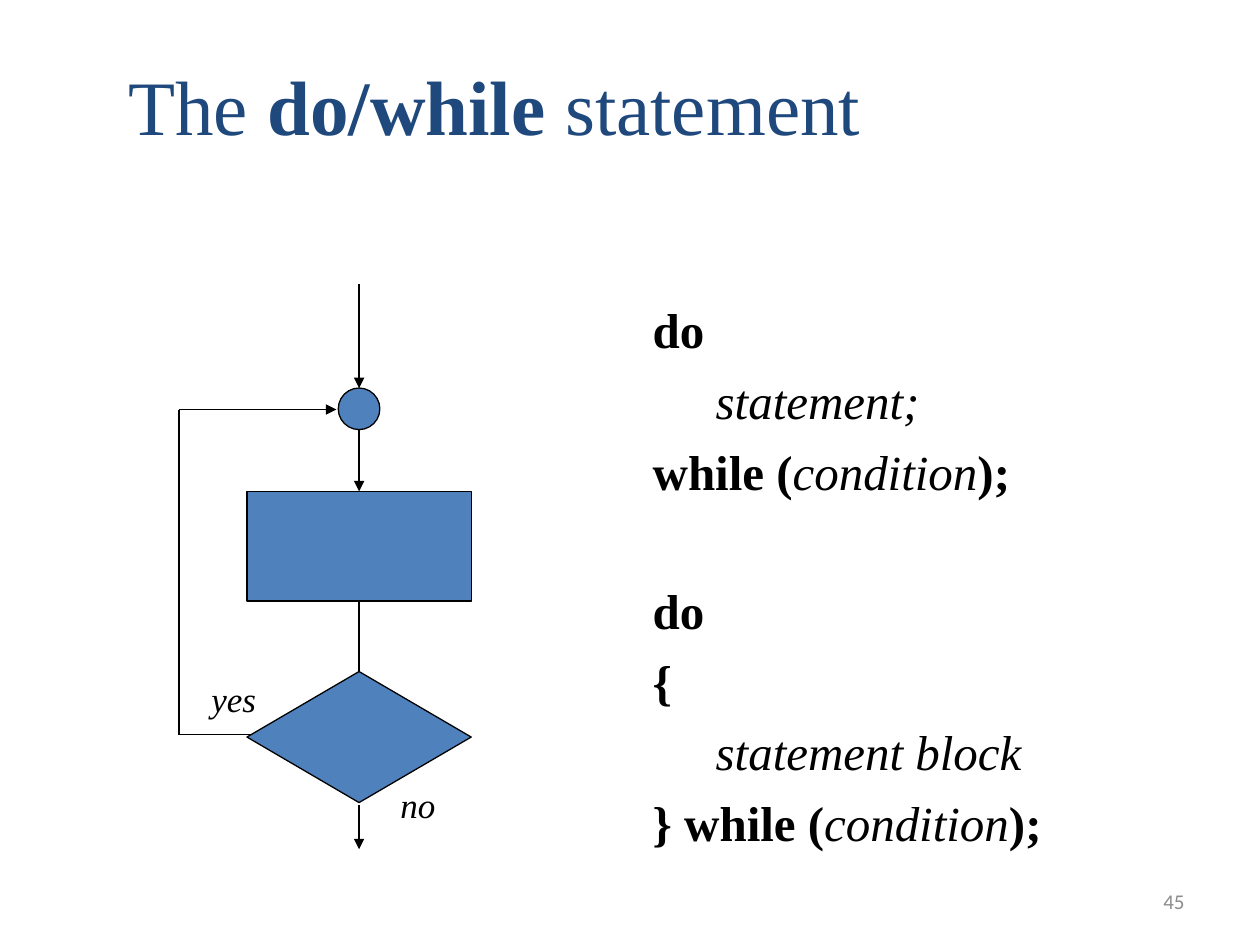
"""Build a slide that explains the do/while statement with a flow chart."""
from dataclasses import dataclass
from lxml import etree
from pptx import Presentation
from pptx.dml.color import RGBColor
from pptx.enum import shapes, text
from pptx.oxml.ns import qn
from pptx.util import Inches, Pt


@dataclass
class Theme:
    serif: str = "Times New Roman"
    sans: str = "Calibri"
    navy: str = "1F497D"
    blue: str = "4F81BD"
    black: str = "000000"
    gray: str = "8C8C8C"
    head: int = 44
    code: int = 28
    label: int = 20
    page: int = 12
    gap: float = 6.8
    line: float = 0.75


theme = Theme()


def write(para, words, size, color=theme.black, font=theme.serif, bold=False, italic=False):
    run = para.add_run()
    run.text = words
    run.font.name, run.font.size = font, Pt(size)
    run.font.bold, run.font.italic = bold, italic
    run.font.color.rgb = RGBColor.from_string(color)


def wire(x1, y1, x2, y2, arrow=False):
    line = slide.shapes.add_connector(
        shapes.MSO_CONNECTOR.STRAIGHT, Inches(x1), Inches(y1), Inches(x2), Inches(y2))
    line.line.color.rgb = RGBColor.from_string(theme.black)
    line.line.width = Pt(theme.line)
    if arrow:
        etree.SubElement(line.line._get_or_add_ln(), qn("a:tailEnd"), type="triangle")
    etree.SubElement(line._element.spPr, qn("a:effectLst"))
    return line


deck = Presentation()
deck.slide_width, deck.slide_height = Inches(10), Inches(7.5)
slide = deck.slides.add_slide(deck.slide_layouts[1])

title, body = slide.placeholders
title.left, title.top, title.width, title.height = map(Inches, (0.92, 0.42, 8.86, 0.83))
title.text_frame.vertical_anchor = text.MSO_ANCHOR.BOTTOM
title.text_frame.auto_size = text.MSO_AUTO_SIZE.NONE
para = title.text_frame.paragraphs[0]
para.alignment = text.PP_ALIGN.LEFT
for words, bold in (("The ", False), ("do/while", True), (" statement", False)):
    write(para, words, theme.head, color=theme.navy, bold=bold)

body.left, body.top, body.width, body.height = map(Inches, (5.08, 2.33, 4.08, 4.42))
frame = body.text_frame
frame.auto_size = text.MSO_AUTO_SIZE.NONE
blank = theme.code * 1.15 + theme.gap
code = [
    (0, 0, [("do", "b")]),
    (0.5, 0, [("statement;", "i")]),
    (0, 0, [("while (", "b"), ("condition", "i"), (");", "b")]),
    (0, blank, [("do", "b")]),
    (0, 0, [("{", "b")]),
    (0.5, 0, [("statement block", "i")]),
    (0, 0, [("} while (", "b"), ("condition", "i"), (");", "b")]),
]
for row, (indent, extra, runs) in enumerate(code):
    para = frame.add_paragraph() if row else frame.paragraphs[0]
    para.space_before = Pt(theme.gap + extra)
    props = para._p.get_or_add_pPr()
    props.set("marL", str(Inches(indent)))
    props.set("indent", "0")
    etree.SubElement(props, qn("a:buNone"))
    for words, style in runs:
        write(para, words, theme.code, bold=style == "b", italic=style == "i")

mid, loop = 2.85, 1.42
kinds = shapes.MSO_SHAPE
nodes = []
for kind, top, width, height in (
    (kinds.FLOWCHART_DECISION, 5.33, 1.78, 1.04),
    (kinds.FLOWCHART_PROCESS, 3.9, 1.78, 0.87),
    (kinds.OVAL, 3.08, 0.33, 0.33),
):
    node = slide.shapes.add_shape(
        kind, Inches(mid - width / 2), Inches(top), Inches(width), Inches(height))
    node.shadow.inherit = False
    node.fill.solid()
    node.fill.fore_color.rgb = RGBColor.from_string(theme.blue)
    node.line.color.rgb = RGBColor.from_string(theme.black)
    node.line.width = Pt(theme.line)
    nodes.append(node)
test, step, join = nodes

wire(mid, 2.25, mid, 3.08, arrow=True).end_connect(join, 0)
wire(mid, 3.41, mid, 3.9, arrow=True).end_connect(step, 0)
link = wire(mid, 4.77, mid, 5.33)
link.begin_connect(step, 2)
link.end_connect(test, 0)
wire(2, 5.83, loop, 5.83)
wire(loop, 5.83, loop, 3.25)
wire(loop, 3.25, 2.67, 3.25, arrow=True)
wire(mid, 6.39, mid, 6.74, arrow=True)

left, right = text.PP_ALIGN.LEFT, text.PP_ALIGN.RIGHT
tag = dict(size=theme.label, italic=True)
page = dict(size=theme.page, color=theme.gray, font=theme.sans)
for words, area, align, look in (
    ("yes", (1.58, 5.33, 0.67, 0.43), left, tag),
    ("no", (3.08, 6.17, 1.25, 0.43), left, tag),
    ("45", (7.17, 6.95, 2.33, 0.4), right, page),
):
    frame = slide.shapes.add_textbox(*map(Inches, area)).text_frame
    frame.word_wrap = True
    frame.vertical_anchor = text.MSO_ANCHOR.MIDDLE
    frame.paragraphs[0].alignment = align
    write(frame.paragraphs[0], words, **look)

deck.save("out.pptx")
